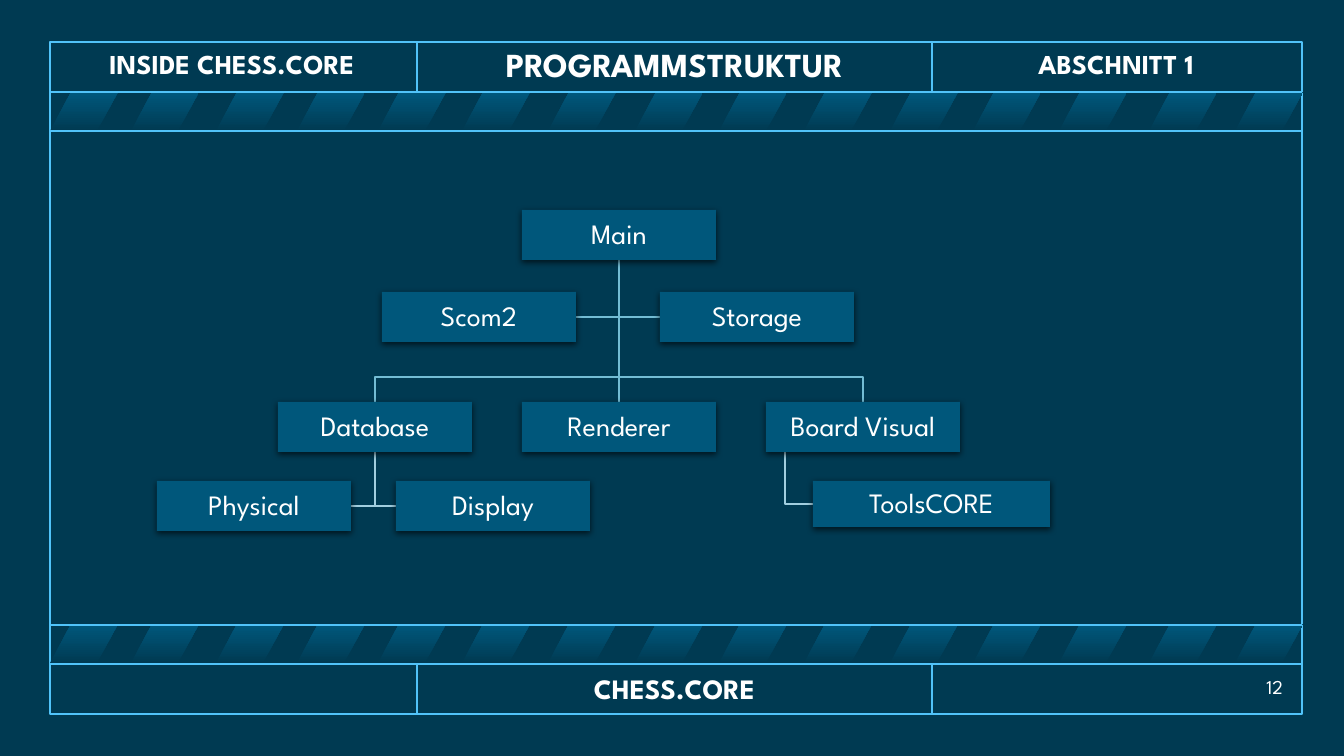
import pptx
import pptx.util
import pptx.dml.color
import pptx.enum.shapes
import pptx.enum.text
import pptx.oxml.ns
from lxml import etree

COLORS = {
    "background": "003A52", "stripe": "00587D", "frame": "51C3F9",
    "box": "00577B", "upper_link": "73BCD4", "lower_link": "A1CEDF",
    "text": "FFFFFF", "shadow": "000000",
}
FONT = "League Spartan"
SLIDE_SIZE = (1344, 756)
FRAME = (50, 42, 1252, 672)
DIVIDERS = (417, 932)
RULES = (92, 131, 625, 664)
BAND_TOPS = (92, 624)
STRIPE_SIZE = (68, 39)
STRIPE_LEFTS = (50, 131, 216, 297, 378, 462, 548, 635,
                719, 804, 890, 973, 1059, 1149, 1235)

TITLE = ("PROGRAMMSTRUKTUR", (418, 43, 513, 47), 24)
LABELS = [
    ("CHESS.CORE", (418, 667, 513, 47), 20, True, "CENTER"),
    ("INSIDE CHESS.CORE", (48, 41, 368, 50), 19.5, True, "CENTER"),
    ("ABSCHNITT 1", (932, 41, 368, 50), 19.5, True, "CENTER"),
    ("12", (1200, 672, 93, 30), 14, False, "RIGHT"),
]
MODULES = {
    "Main": (522, 210, 194, 50),
    "Scom2": (382, 292, 194, 50),
    "Storage": (660, 292, 194, 50),
    "Database": (278, 402, 194, 50),
    "Renderer": (522, 402, 194, 50),
    "Board Visual": (766, 402, 194, 50),
    "Physical": (157, 481, 194, 50),
    "Display": (396, 481, 194, 50),
    "ToolsCORE": (813, 481, 237, 46),
}
LINKS = [
    ("Main", "Scom2", "side", "upper_link"),
    ("Main", "Storage", "side", "upper_link"),
    ("Database", "Display", "side", "lower_link"),
    ("Database", "Physical", "side", "lower_link"),
    ("Main", "Database", "below", "upper_link"),
    ("Main", "Renderer", "below", "upper_link"),
    ("Board Visual", "ToolsCORE", "hang", "lower_link"),
    ("Main", "Board Visual", "below", "upper_link"),
]
HANG_INDENT = 19
BRANCH_GAP = 25
SCALE = pptx.util.Inches(1) / 100.8


def emu(*lengths):
    return [round(length * SCALE) for length in lengths]


def color(name):
    return pptx.dml.color.RGBColor.from_string(COLORS[name])


def style_line(line, name):
    line.color.rgb = color(name)
    line.width = pptx.util.Pt(1)


def add_line(page, start, end, name):
    line = page.shapes.add_connector(
        pptx.enum.shapes.MSO_CONNECTOR.STRAIGHT, *emu(*start, *end))
    style_line(line.line, name)
    etree.SubElement(line._element.spPr, pptx.oxml.ns.qn("a:effectLst"))


def add_shape(page, kind, area):
    shape = page.shapes.add_shape(
        getattr(pptx.enum.shapes.MSO_SHAPE, kind), *emu(*area))
    shape.shadow.inherit = False
    shape.line.fill.background()
    return shape


def write(shape, text, size, bold, align, spacing=0.9):
    frame = shape.text_frame
    frame.text = text
    frame.word_wrap = True
    frame.auto_size = pptx.enum.text.MSO_AUTO_SIZE.NONE
    frame.vertical_anchor = pptx.enum.text.MSO_ANCHOR.MIDDLE
    para = frame.paragraphs[0]
    para.alignment = getattr(pptx.enum.text.PP_ALIGN, align)
    para.line_spacing = spacing
    font = para.runs[0].font
    font.name = FONT
    font.size = pptx.util.Pt(size)
    font.bold = bold
    font.color.rgb = color("text")


def add_frame(page):
    left, top, width, height = FRAME
    right, bottom = left + width, top + height
    border = add_shape(page, "RECTANGLE", FRAME)
    border.fill.background()
    style_line(border.line, "frame")
    for x in DIVIDERS:
        add_line(page, (x, top), (x, RULES[0]), "frame")
        add_line(page, (x, RULES[-1]), (x, bottom), "frame")
    for band_top in BAND_TOPS:
        for stripe_left in STRIPE_LEFTS:
            stripe = add_shape(page, "PARALLELOGRAM", (stripe_left, band_top, *STRIPE_SIZE))
            stripe.adjustments[0] = 0.54
            stripe.fill.gradient()
            stripe.fill.gradient_angle = 90
            for stop, position, name in zip(
                    stripe.fill.gradient_stops, (0, 1), ("background", "stripe")):
                stop.position = position
                stop.color.rgb = color(name)
    for y in RULES:
        add_line(page, (left, y), (right, y), "frame")


def link_points(parent, child, kind):
    left, top, width, height = MODULES[parent]
    child_left, child_top, child_width, child_height = MODULES[child]
    center, bottom = left + width / 2, top + height
    child_center = child_left + child_width / 2
    if kind == "below":
        branch = child_top - BRANCH_GAP
        return [(center, bottom), (center, branch),
                (child_center, branch), (child_center, child_top)]
    x = left + HANG_INDENT if kind == "hang" else center
    y = child_top + child_height / 2
    edge = child_left if child_center > x else child_left + child_width
    return [(x, bottom), (x, y), (edge, y)]


def add_link(page, parent, child, kind, name):
    points = link_points(parent, child, kind)
    if points[0][0] == points[-1][0]:
        add_line(page, points[0], points[-1], name)
        return
    builder = page.shapes.build_freeform(*points[0], scale=SCALE)
    builder.add_line_segments(points[1:], close=False)
    link = builder.convert_to_shape()
    link.shadow.inherit = False
    link.fill.background()
    style_line(link.line, name)


def add_module(page, name, area):
    box = add_shape(page, "RECTANGLE", area)
    box.fill.solid()
    box.fill.fore_color.rgb = color("box")
    effects = box._element.spPr.find(pptx.oxml.ns.qn("a:effectLst"))
    shadow = etree.SubElement(
        effects, pptx.oxml.ns.qn("a:outerShdw"), blurRad="57150", dist="19050",
        dir="5400000", algn="ctr", rotWithShape="0")
    tint = etree.SubElement(shadow, pptx.oxml.ns.qn("a:srgbClr"), val=COLORS["shadow"])
    etree.SubElement(tint, pptx.oxml.ns.qn("a:alpha"), val="63000")
    write(box, name, 20, False, "CENTER")
    for side in ("left", "top", "right", "bottom"):
        setattr(box.text_frame, f"margin_{side}", pptx.util.Pt(1))


def main():
    deck = pptx.Presentation()
    deck.slide_width, deck.slide_height = emu(*SLIDE_SIZE)
    page = deck.slides.add_slide(deck.slide_layouts[5])
    page.background.fill.solid()
    page.background.fill.fore_color.rgb = color("background")

    add_frame(page)
    for link in LINKS:
        add_link(page, *link)
    for name, area in MODULES.items():
        add_module(page, name, area)

    text, area, size = TITLE
    title = page.shapes.title
    title.left, title.top, title.width, title.height = emu(*area)
    write(title, text, size, True, "CENTER")
    for text, area, size, bold, align in LABELS:
        box = page.shapes.add_textbox(*emu(*area))
        write(box, text, size, bold, align, 0.9 if bold else 1.0)

    deck.save("out.pptx")


if __name__ == "__main__":
    main()
